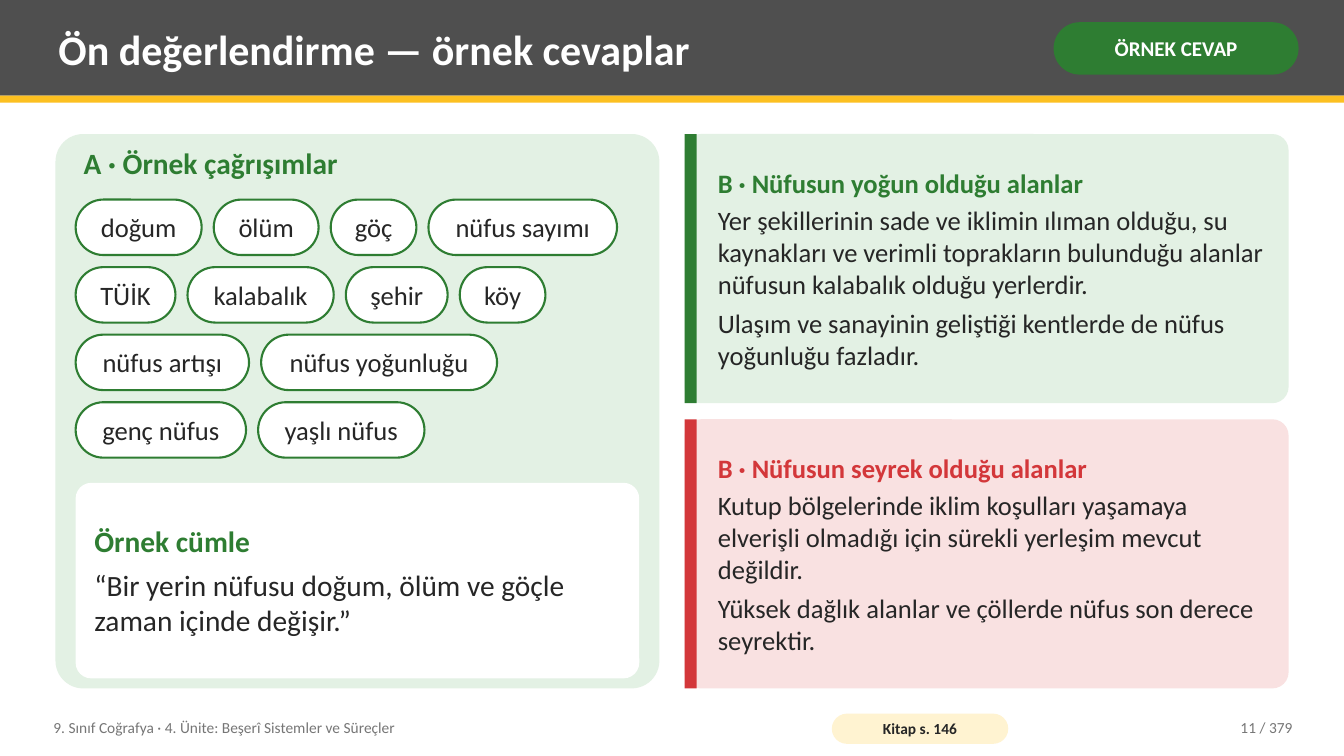
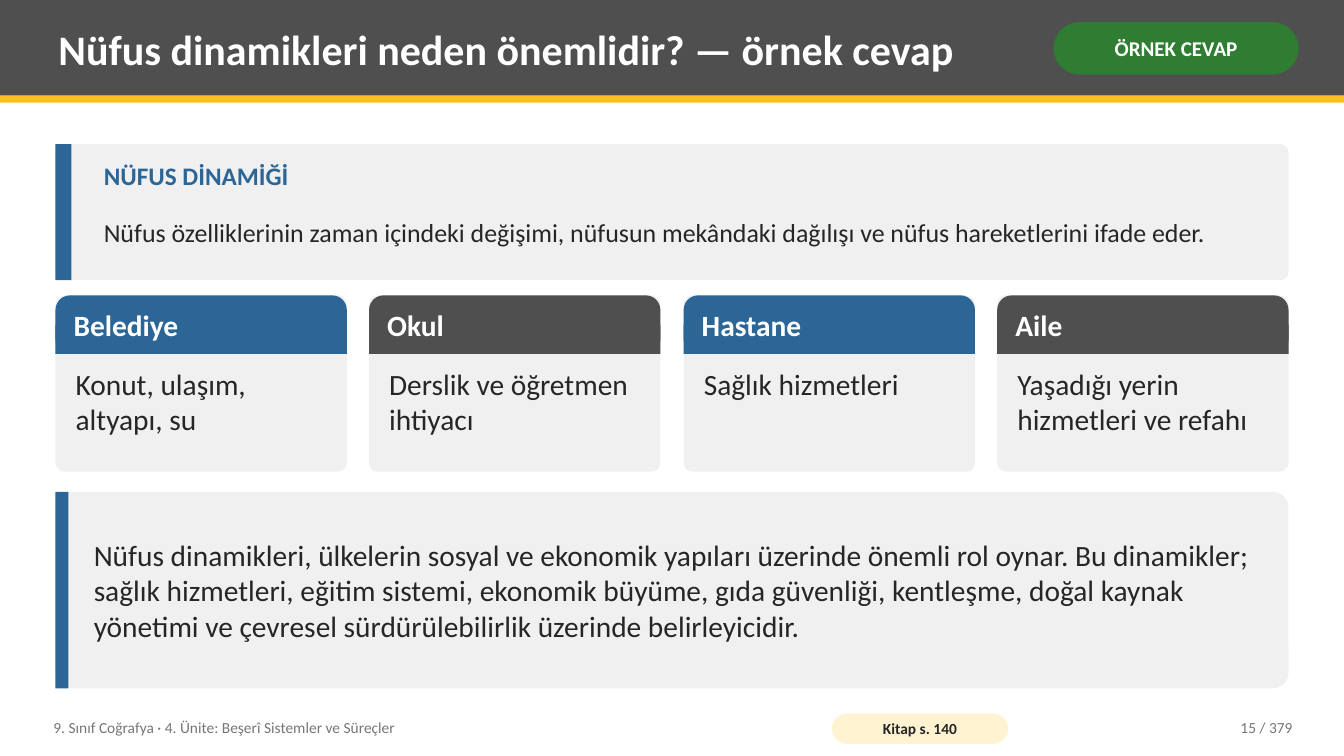
from pptx import Presentation
from pptx.dml.color import RGBColor as RGB
from pptx.enum.shapes import MSO_SHAPE as SHAPE
from pptx.enum.text import MSO_ANCHOR as ANCHOR, PP_ALIGN as ALIGN
from pptx.util import Pt

PX = 9144
FONT = "Calibri"
HUES = {
    "white": "FFFFFF",
    "ink": "262626",
    "slate": "4F4F4F",
    "gold": "FCC021",
    "cream": "FFF3D1",
    "muted": "767676",
    "green": "2E7D32",
    "mint": "E3F1E4",
    "red": "D3373A",
    "rose": "F9E1E1",
    "blue": "2C6696",
    "mist": "F0F0F0",
}


def draw(slide, place, fill=None, curve=0, line=None):
    spot = [n * PX for n in place]
    if fill is None:
        return slide.shapes.add_textbox(*spot)
    kind = SHAPE.ROUNDED_RECTANGLE if curve else SHAPE.RECTANGLE
    box = slide.shapes.add_shape(kind, *spot)
    box.shadow.inherit = False
    if curve:
        box.adjustments[0] = curve
    box.fill.solid()
    box.fill.fore_color.rgb = RGB.from_string(HUES[fill])
    if line:
        box.line.color.rgb = RGB.from_string(HUES[line])
        box.line.width = Pt(1.5)
    else:
        box.line.fill.background()
    return box


def write(box, rows, pad=(8, 4), anchor=ANCHOR.MIDDLE, align=ALIGN.LEFT):
    frame = box.text_frame
    frame.word_wrap = True
    frame.vertical_anchor = anchor
    frame.margin_left = frame.margin_right = pad[0] * PX
    frame.margin_top = frame.margin_bottom = pad[1] * PX
    frame.text = "\n".join(row[0] for row in rows)
    for para, (text, size, hue, bold, after) in zip(frame.paragraphs, rows):
        para.alignment = align
        para.space_after = Pt(after)
        for run in para.runs:
            run.font.name = FONT
            run.font.size = Pt(size)
            run.font.bold = bold
            run.font.color.rgb = RGB.from_string(HUES[hue])


deck = Presentation()
deck.slide_width = 1333 * PX
deck.slide_height = 750 * PX

LEFT, WIDE, END = 55, 1223, 683
HEADS = [
    ("Ön değerlendirme — örnek cevaplar", "Kitap s. 146", "11 / 379"),
    ("Nüfus dinamikleri neden önemlidir? — örnek cevap", "Kitap s. 140", "15 / 379"),
]
COURSE = "9. Sınıf Coğrafya · 4. Ünite: Beşerî Sistemler ve Süreçler"

slides = []
for title, source, count in HEADS:
    slide = deck.slides.add_slide(deck.slide_layouts[6])
    slides.append(slide)
    draw(slide, (0, 0, 1333, 95), "slate")
    draw(slide, (0, 95, 1333, 7), "gold")
    write(draw(slide, (50, 7, 975, 82)), [(title, 30, "white", True, 0)])
    badge = draw(slide, (1045, 22, 243, 52), "green", 0.5)
    write(badge, [("ÖRNEK CEVAP", 15, "white", True, 0)], (5, 2), align=ALIGN.CENTER)
    write(draw(slide, (45, 704, 760, 36)), [(COURSE, 11, "muted", False, 0)])
    label = draw(slide, (825, 708, 175, 30), "cream", 0.5)
    write(label, [(source, 11, "ink", True, 0)], (4, 0), align=ALIGN.CENTER)
    number = draw(slide, (1130, 704, 160, 36))
    write(number, [(count, 11, "muted", False, 0)], align=ALIGN.RIGHT)

answer, reason = slides

HALF, TOP = 599, 133
draw(answer, (LEFT, TOP, HALF, END - TOP), "mint", 0.05)
head = draw(answer, (75, 140, 559, 45))
write(head, [("A · Örnek çağrışımlar", 21, "green", True, 0)], anchor=ANCHOR.TOP)

CHIPS = [
    [("doğum", 125), ("ölüm", 104), ("göç", 85), ("nüfus sayımı", 187)],
    [("TÜİK", 99), ("kalabalık", 145), ("şehir", 101), ("köy", 85)],
    [("nüfus artışı", 172), ("nüfus yoğunluğu", 234)],
    [("genç nüfus", 169), ("yaşlı nüfus", 165)],
]
TALL, GAP = 55, 12
for i, chips in enumerate(CHIPS):
    x = 75
    for word, w in chips:
        chip = draw(answer, (x, 198 + i * (TALL + GAP), w, TALL), "white", 0.5, "green")
        write(chip, [(word, 19, "ink", False, 0)], (6, 0), align=ALIGN.CENTER)
        x += w + GAP

sample = draw(answer, (75, 479, 559, 194), "white", 0.08)
write(sample, [
    ("Örnek cümle", 21, "green", True, 6),
    ("“Bir yerin nüfusu doğum, ölüm ve göçle zaman içinde değişir.”", 21, "ink", False, 0),
], (14, 8))

AREAS = [
    ("green", "mint", "B · Nüfusun yoğun olduğu alanlar",
     "Yer şekillerinin sade ve iklimin ılıman olduğu, su kaynakları ve verimli "
     "toprakların bulunduğu alanlar nüfusun kalabalık olduğu yerlerdir.",
     "Ulaşım ve sanayinin geliştiği kentlerde de nüfus yoğunluğu fazladır."),
    ("red", "rose", "B · Nüfusun seyrek olduğu alanlar",
     "Kutup bölgelerinde iklim koşulları yaşamaya elverişli olmadığı için "
     "sürekli yerleşim mevcut değildir.",
     "Yüksek dağlık alanlar ve çöllerde nüfus son derece seyrektir."),
]
for i, (hue, tint, name, first, last) in enumerate(AREAS):
    x, y, h = LEFT + WIDE - HALF, TOP + i * 283, 267
    draw(answer, (x, y, HALF, h), tint, 0.06)
    draw(answer, (x, y, 12, h), hue)
    write(draw(answer, (x + 25, y + 6, 564, 255)), [
        (name, 19, hue, True, 4),
        (first, 19, "ink", False, 5),
        (last, 19, "ink", False, 0),
    ])

draw(reason, (LEFT, 143, WIDE, 135), "mist", 0.06)
draw(reason, (LEFT, 143, 16, 135), "blue")
term = draw(reason, (95, 155, 1163, 45))
write(term, [("NÜFUS DİNAMİĞİ", 18, "blue", True, 0)], anchor=ANCHOR.TOP)
write(draw(reason, (95, 198, 1163, 65)), [
    ("Nüfus özelliklerinin zaman içindeki değişimi, nüfusun mekândaki dağılışı "
     "ve nüfus hareketlerini ifade eder.", 18.5, "ink", False, 0),
])

CARDS = [
    ("Belediye", "Konut, ulaşım, altyapı, su", "blue"),
    ("Okul", "Derslik ve öğretmen ihtiyacı", "slate"),
    ("Hastane", "Sağlık hizmetleri", "blue"),
    ("Aile", "Yaşadığı yerin hizmetleri ve refahı", "slate"),
]
CARD, ROW = 289, 293
for i, (name, need, hue) in enumerate(CARDS):
    x = LEFT + round(i * (WIDE - CARD) / (len(CARDS) - 1))
    draw(reason, (x, ROW, CARD, 175), "mist", 0.05)
    draw(reason, (x, ROW, CARD, 58), hue, 0.25)
    draw(reason, (x, ROW + 29, CARD, 29), hue)
    write(draw(reason, (x + 10, ROW, 269, 58)), [(name, 21, "white", True, 0)])
    body = draw(reason, (x + 12, ROW + 66, 265, 101))
    write(body, [(need, 21, "ink", False, 0)], anchor=ANCHOR.TOP)

draw(reason, (LEFT, 488, WIDE, END - 488), "mist", 0.08)
draw(reason, (LEFT, 488, 13, END - 488), "blue")
write(draw(reason, (85, 488, 1178, END - 488)), [
    ("Nüfus dinamikleri, ülkelerin sosyal ve ekonomik yapıları üzerinde önemli rol "
     "oynar. Bu dinamikler; sağlık hizmetleri, eğitim sistemi, ekonomik büyüme, "
     "gıda güvenliği, kentleşme, doğal kaynak yönetimi ve çevresel "
     "sürdürülebilirlik üzerinde belirleyicidir.", 21, "ink", False, 0),
])

deck.save("out.pptx")
